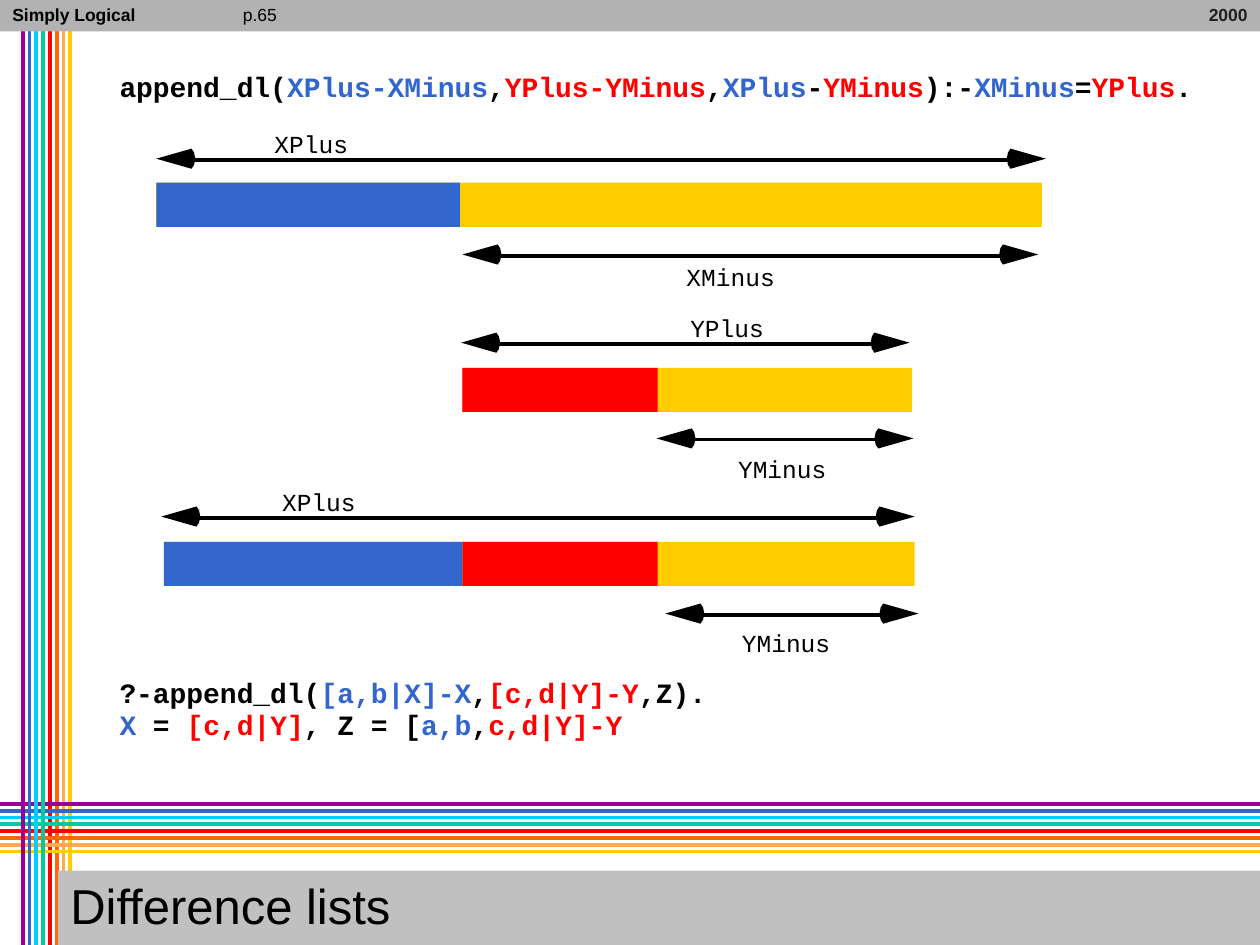
from lxml.etree import SubElement
from pptx import Presentation
from pptx.dml.color import RGBColor
from pptx.enum.shapes import MSO_CONNECTOR, MSO_SHAPE
from pptx.enum.text import MSO_ANCHOR, MSO_AUTO_SIZE, PP_ALIGN
from pptx.oxml.ns import qn
from pptx.util import Inches, Pt

BLACK = RGBColor(0x00, 0x00, 0x00)
CHARCOAL = RGBColor(0x20, 0x20, 0x20)
HEADER_GRAY = RGBColor(0xB2, 0xB2, 0xB2)
TITLE_GRAY = RGBColor(0xC0, 0xC0, 0xC0)
PURPLE = RGBColor(0x99, 0x00, 0x99)
BLUE = RGBColor(0x33, 0x66, 0xCC)
CYAN = RGBColor(0x00, 0xCC, 0xFF)
GREEN = RGBColor(0x00, 0xCC, 0x99)
RED = RGBColor(0xFF, 0x00, 0x00)
ORANGE = RGBColor(0xFF, 0x66, 0x00)
PEACH = RGBColor(0xFF, 0xA9, 0x53)
YELLOW = RGBColor(0xFF, 0xCC, 0x00)
RAINBOW = [PURPLE, BLUE, CYAN, GREEN, RED, ORANGE, PEACH, YELLOW]
STRIPE_GAP = 0.054

deck = Presentation()
deck.slide_width, deck.slide_height = Inches(10), Inches(7.5)
page = deck.slides.add_slide(deck.slide_layouts[6])


def add_text(lines, left, top, width, height, *, size=14, font="Courier New", color=BLACK,
             bold=False, align=PP_ALIGN.LEFT, anchor=MSO_ANCHOR.TOP, wrap=False,
             spacing=0.9, margin=0, fill=None):
    box = page.shapes.add_textbox(Inches(left), Inches(top), Inches(width), Inches(height))
    if fill is not None:
        box.fill.solid()
        box.fill.fore_color.rgb = fill
    frame = box.text_frame
    frame.word_wrap = wrap
    frame.auto_size = MSO_AUTO_SIZE.NONE
    frame.vertical_anchor = anchor
    para = frame.paragraphs[0]
    para.alignment = align
    para.line_spacing = spacing
    para.space_before = para.space_after = Pt(margin)
    if isinstance(lines, str):
        lines = [[(lines, color)]]
    for index, line in enumerate(lines):
        if index:
            para.add_line_break()
        for text, tint in line:
            span = para.add_run()
            span.text = text
            span.font.name = font
            span.font.size = Pt(size)
            span.font.bold = bold
            span.font.color.rgb = tint


def add_line(x1, y1, x2, y2, color, width):
    line = page.shapes.add_connector(
        MSO_CONNECTOR.STRAIGHT, Inches(x1), Inches(y1), Inches(x2), Inches(y2))
    line.line.color.rgb = color
    line.line.width = Pt(width)
    SubElement(line._element.spPr, qn("a:effectLst"))


stripes = list(enumerate(RAINBOW))
for index, color in stripes[4:]:
    x = 0.18 + index * STRIPE_GAP
    add_line(x, 0, x, 7.5, color, 2.25)
for index, color in stripes:
    y = 6.38 + index * STRIPE_GAP
    add_line(10, y, 0, y, color, 2.25)
for index, color in stripes[:4]:
    x = 0.18 + index * STRIPE_GAP
    add_line(x, 0, x, 7.5, color, 2.25)

bars = [
    (0, 0, 10, 0.25, HEADER_GRAY),
    (1.24, 1.45, 7.03, 0.35, YELLOW),
    (1.24, 1.45, 2.41, 0.35, BLUE),
    (3.67, 2.92, 3.57, 0.35, YELLOW),
    (3.67, 2.92, 1.55, 0.35, RED),
    (1.3, 4.3, 5.96, 0.35, YELLOW),
    (3.67, 4.3, 1.55, 0.35, RED),
    (1.3, 4.3, 2.37, 0.35, BLUE),
]
for left, top, width, height, color in bars:
    bar = page.shapes.add_shape(
        MSO_SHAPE.RECTANGLE, Inches(left), Inches(top), Inches(width), Inches(height))
    bar.shadow.inherit = False
    bar.fill.solid()
    bar.fill.fore_color.rgb = color
    bar.line.fill.background()

spans = [
    (1.24, 8.3, 1.26, "XPlus", 2.08, 1.0, 0.78),
    (3.67, 8.24, 2.02, "XMinus", 5.35, 2.06, 0.9),
    (3.66, 7.22, 2.72, "YPlus", 5.38, 2.46, 0.78),
    (5.21, 7.25, 3.48, "YMinus", 5.76, 3.58, 0.9),
    (1.28, 7.26, 4.1, "XPlus", 2.14, 3.84, 0.78),
    (5.28, 7.29, 4.87, "YMinus", 5.79, 4.96, 0.9),
]
head_outline = [(0.28, -0.08), (0.3, -0.05), (0.31, 0), (0.3, 0.05), (0.28, 0.08)]
for start, end, y, label, left, top, width in spans:
    add_line(start + 0.17, y + 0.01, end - 0.16, y + 0.01, BLACK, 2)
    for tip, direction in [(start, 1), (end, -1)]:
        builder = page.shapes.build_freeform(Inches(tip), Inches(y), scale=1.0)
        builder.add_line_segments(
            [(Inches(tip + direction * dx), Inches(y + dy)) for dx, dy in head_outline],
            close=True)
        head = builder.convert_to_shape()
        head.shadow.inherit = False
        head.fill.solid()
        head.fill.fore_color.rgb = BLACK
        head.line.fill.background()
    add_text(label, left, top, width, 0.31)

clause = [[
    ("append_dl(", BLACK), ("XPlus-XMinus", BLUE), (",", BLACK), ("YPlus-YMinus", RED),
    (",", BLACK), ("XPlus", BLUE), ("-", BLACK), ("YMinus", RED), ("):-", BLACK),
    ("XMinus", BLUE), ("=", BLACK), ("YPlus", RED), (".", BLACK),
]]
query = [
    [("?-append_dl(", BLACK), ("[a,b|X]-X", BLUE), (",", BLACK), ("[c,d|Y]-Y", RED),
     (",Z).", BLACK)],
    [("X", BLUE), (" = ", BLACK), ("[c,d|Y]", RED), (", Z = [", BLACK), ("a,b", BLUE),
     (",", BLACK), ("c,d|Y]-Y", RED)],
]
add_text(clause, 0.85, 0.52, 8.71, 0.35, size=16, bold=True, spacing=0.96, margin=9.5)
add_text(query, 0.85, 5.33, 4.85, 0.61, size=16, bold=True, spacing=0.96, margin=9.5)

add_text("Difference lists", 0.46, 6.91, 9.54, 0.6, size=28, font="Arial",
         anchor=MSO_ANCHOR.MIDDLE, wrap=True, fill=TITLE_GRAY)
add_text("p.65", 1.83, 0, 0.76, 0.25, size=10, font="Arial")
add_text("Simply Logical", 0, 0, 2, 0.25, size=10, font="Arial", bold=True, wrap=True)
add_text("2000", 7.3, 0, 2.7, 0.25, size=10, font="Arial", color=CHARCOAL, bold=True,
         align=PP_ALIGN.RIGHT, wrap=True)

deck.save("out.pptx")
